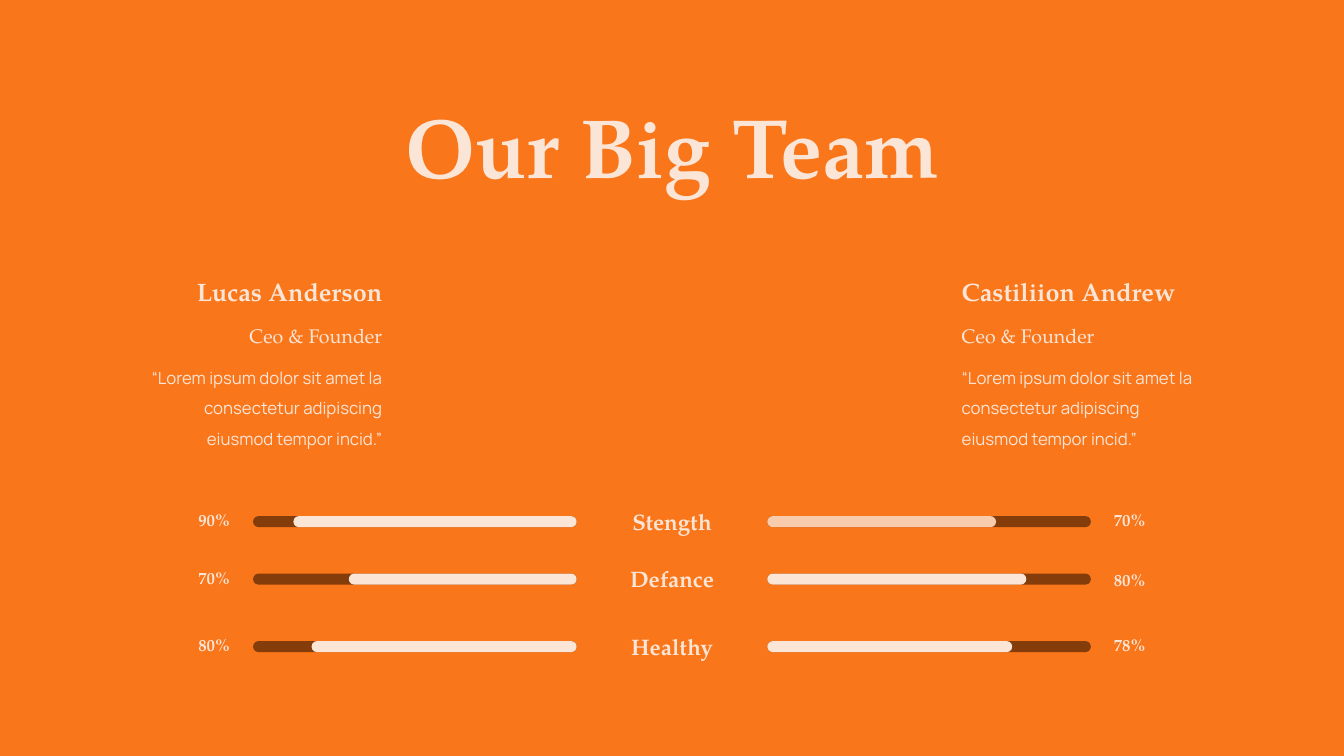
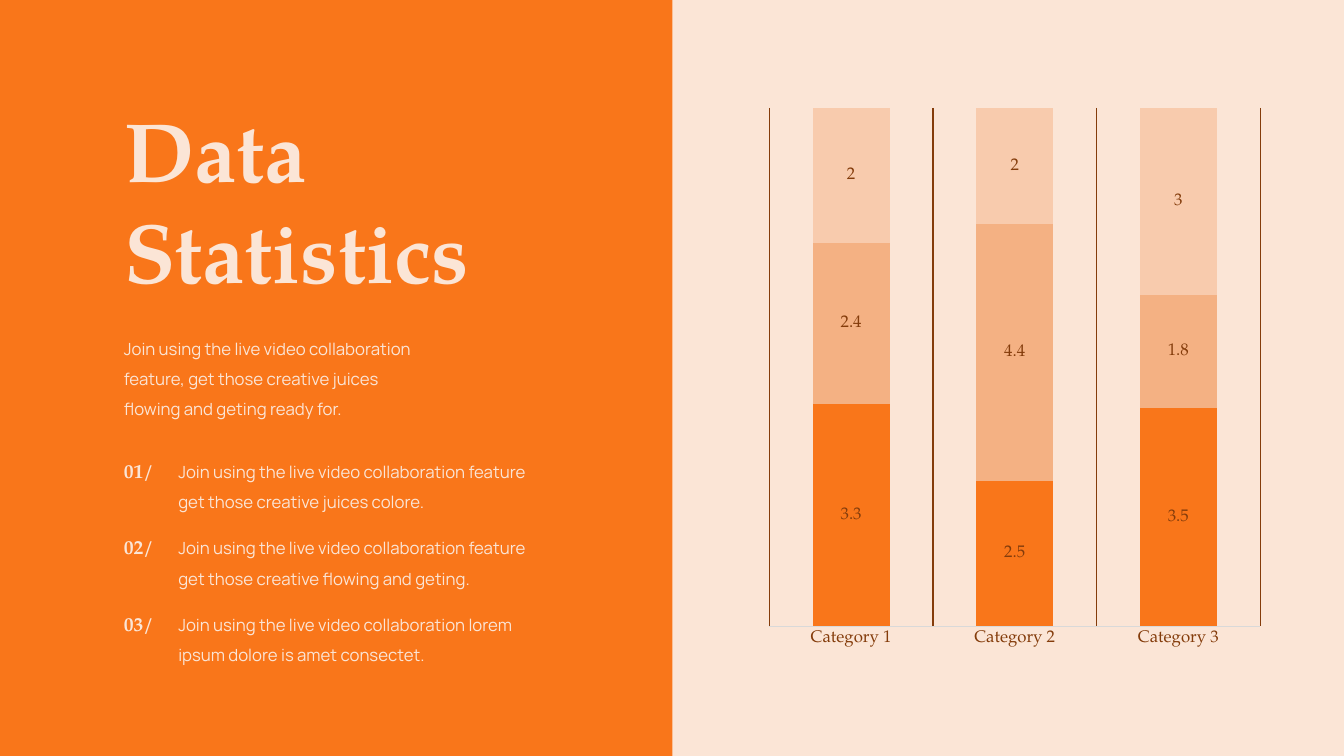
from pptx import Presentation
from pptx.chart.data import CategoryChartData
from pptx.dml.color import RGBColor
from pptx.enum import chart as chart_enum, shapes, text
from pptx.util import Inches, Pt

ORANGE = RGBColor(0xF9, 0x76, 0x1A)
CREAM = RGBColor(0xFB, 0xE5, 0xD6)
BROWN = RGBColor(0x84, 0x3C, 0x0B)
PEACH = RGBColor(0xF8, 0xCB, 0xAD)
APRICOT = RGBColor(0xF4, 0xB1, 0x83)
GREY = RGBColor(0xD9, 0xD9, 0xD9)

SERIF = "TeX Gyre Pagella"
LEFT, CENTER, RIGHT = text.PP_ALIGN.LEFT, text.PP_ALIGN.CENTER, text.PP_ALIGN.RIGHT

TITLE = {"name": SERIF, "size": Pt(60), "bold": True}
NAME = {"name": SERIF, "size": Pt(18), "bold": True}
ROLE = {"name": SERIF, "size": Pt(14), "bold": False}
SKILL = {"name": SERIF, "size": Pt(16), "bold": True}
PERCENT = {"name": SERIF, "size": Pt(12), "bold": True}
NUMBER = {"name": SERIF, "size": Pt(14), "bold": True}
BODY = {"name": "Manrope", "size": Pt(12), "bold": False}
CHART_TEXT = {"name": SERIF, "size": Pt(12), "bold": False}

SKILL_ROWS = [
    ("Stength", 5.12, ("90%", 2.81, CREAM, 5.01), ("70%", 2.27, PEACH, 5.01)),
    ("Defance", 5.69, ("70%", 2.26, CREAM, 5.58), ("80%", 2.57, CREAM, 5.6)),
    ("Healthy", 6.36, ("80%", 2.63, CREAM, 6.25), ("78%", 2.43, CREAM, 6.25)),
]
QUOTE = "“Lorem ipsum dolor sit amet la consectetur adipiscing eiusmod tempor incid.”"
STEPS = [
    "Join using the live video collaboration feature get those creative juices colore.",
    "Join using the live video collaboration feature get those creative flowing and geting.",
    "Join using the live video collaboration lorem ipsum dolore is amet consectet.",
]


def format_font(font, style, color):
    """Apply a dict of font values and a colour."""
    for attribute, value in style.items():
        setattr(font, attribute, value)
    font.color.rgb = color


def fill_text(shape, words, style, align=LEFT, spacing=1.0):
    """Write one wrapped, top-anchored paragraph in a shape."""
    frame = shape.text_frame
    settings = {"word_wrap": True, "auto_size": text.MSO_AUTO_SIZE.NONE,
                "vertical_anchor": text.MSO_ANCHOR.TOP}
    for attribute, value in settings.items():
        setattr(frame, attribute, value)
    paragraph = frame.paragraphs[0]
    paragraph.alignment = align
    paragraph.line_spacing = spacing
    run = paragraph.add_run()
    run.text = words
    format_font(run.font, style, CREAM)


def add_text(slide, box, words, style, align=LEFT, spacing=1.0):
    """Add a text box at the given inches."""
    shape = slide.shapes.add_textbox(*map(Inches, box))
    fill_text(shape, words, style, align, spacing)


def add_block(slide, box, color, kind=shapes.MSO_SHAPE.RECTANGLE):
    """Add a plain filled shape without line or shadow."""
    shape = slide.shapes.add_shape(kind, *map(Inches, box))
    shape.shadow.inherit = False
    shape.fill.solid()
    shape.fill.fore_color.rgb = color
    shape.line.fill.background()
    return shape


def add_pill(slide, box, color):
    """Add a bar with fully rounded ends."""
    add_block(slide, box, color, shapes.MSO_SHAPE.ROUNDED_RECTANGLE).adjustments[0] = 0.5


def add_titled_slide(presentation, box, words, align):
    """Add a title-only slide with its title placed in the box."""
    slide = presentation.slides.add_slide(presentation.slide_layouts[5])
    title = slide.shapes.title
    title.left, title.top, title.width, title.height = map(Inches, box)
    fill_text(title, words, TITLE, align)
    return slide


def add_member(slide, left, top, name, align):
    """Add a team member's name, role and quote."""
    width = 2.49
    add_text(slide, (left, top, width, 0.4), name, NAME, align)
    add_text(slide, (left, top + 0.47, width, 0.34), "Ceo & Founder", ROLE, align)
    add_text(slide, (left, top + 0.81, width, 0.97), QUOTE, BODY, align, 1.5)


def add_skill_bar(slide, left, top, score, mirrored):
    """Add a score bar that grows from the left, or from the right if mirrored."""
    percent, length, color, percent_top = score
    width, height, label_width = 3.21, 0.11, 0.77
    add_pill(slide, (left, top, width, height), BROWN)
    start = left + width - length if mirrored else left
    add_pill(slide, (start, top, length, height), color)
    label_left = left - label_width if mirrored else left + width
    add_text(slide, (label_left, percent_top, label_width, 0.3), percent, PERCENT, CENTER)


def add_step(slide, left, top, number, words):
    """Add a numbered step with its text."""
    add_text(slide, (left, top + 0.07, 0.57, 0.34), f"{number:02}/", NUMBER)
    add_text(slide, (left + 0.54, top, 3.73, 0.67), words, BODY, spacing=1.5)


def add_stacked_chart(slide, box):
    """Add the stacked column chart of three categories."""
    data = CategoryChartData()
    data.categories = ["Category 1", "Category 2", "Category 3"]
    data.add_series("Series 1", (3.3, 2.5, 3.5))
    data.add_series("Series 2", (2.4, 4.4, 1.8))
    data.add_series("Series 3", (2, 2, 3))
    chart = slide.shapes.add_chart(
        chart_enum.XL_CHART_TYPE.COLUMN_STACKED_100, *map(Inches, box), data).chart
    chart.has_legend = False
    chart.has_title = False
    format_font(chart.font, CHART_TEXT, BROWN)

    chart.value_axis.visible = False
    chart.value_axis.has_major_gridlines = False
    axis = chart.category_axis
    axis.major_tick_mark = chart_enum.XL_TICK_MARK.NONE
    axis.has_major_gridlines = True
    format_font(axis.tick_labels.font, CHART_TEXT, BROWN)
    for line, color in ((axis.format.line, GREY), (axis.major_gridlines.format.line, BROWN)):
        line.color.rgb = color
        line.width = Pt(0.75)

    plot = chart.plots[0]
    plot.gap_width, plot.overlap, plot.vary_by_categories = 113, 100, False
    for series, color in zip(plot.series, (ORANGE, APRICOT, PEACH)):
        series.format.fill.solid()
        series.format.fill.fore_color.rgb = color
        labels = series.data_labels
        labels.show_value = True
        labels.position = chart_enum.XL_LABEL_POSITION.CENTER
        format_font(labels.font, CHART_TEXT, BROWN)


def build_team_slide(presentation):
    """Build the slide that compares two team members."""
    slide = add_titled_slide(presentation, (3.65, 0.89, 6.04, 1.11), "Our Big Team", CENTER)
    add_member(slide, 1.4, 2.69, "Lucas Anderson", RIGHT)
    add_member(slide, 9.44, 2.69, "Castiliion Andrew", LEFT)
    for skill, top, left_score, right_score in SKILL_ROWS:
        add_skill_bar(slide, 2.51, top, left_score, True)
        add_text(slide, (6.04, top - 0.13, 1.25, 0.37), skill, SKILL, CENTER)
        add_skill_bar(slide, 7.61, top, right_score, False)


def build_statistics_slide(presentation):
    """Build the slide with numbered steps beside a chart."""
    left = 1.13
    slide = add_titled_slide(presentation, (left, 0.93, 4.06, 2.12), "Data Statistics", LEFT)
    add_block(slide, (6.67, 0, 6.67, 7.5), CREAM)
    add_text(slide, (left, 3.21, 3.2, 0.97),
             "Join using the live video collaboration feature, get those creative juices "
             "flowing and geting ready for.", BODY, spacing=1.5)
    for index, words in enumerate(STEPS):
        add_step(slide, left, 4.43 + 0.76 * index, index + 1, words)
    add_stacked_chart(slide, (7.53, 0.96, 5.07, 5.57))


def main():
    """Build and save the presentation."""
    presentation = Presentation()
    presentation.slide_width, presentation.slide_height = Inches(13.33), Inches(7.5)
    background = presentation.slide_master.background.fill
    background.solid()
    background.fore_color.rgb = ORANGE
    build_team_slide(presentation)
    build_statistics_slide(presentation)
    presentation.save("out.pptx")


if __name__ == "__main__":
    main()
